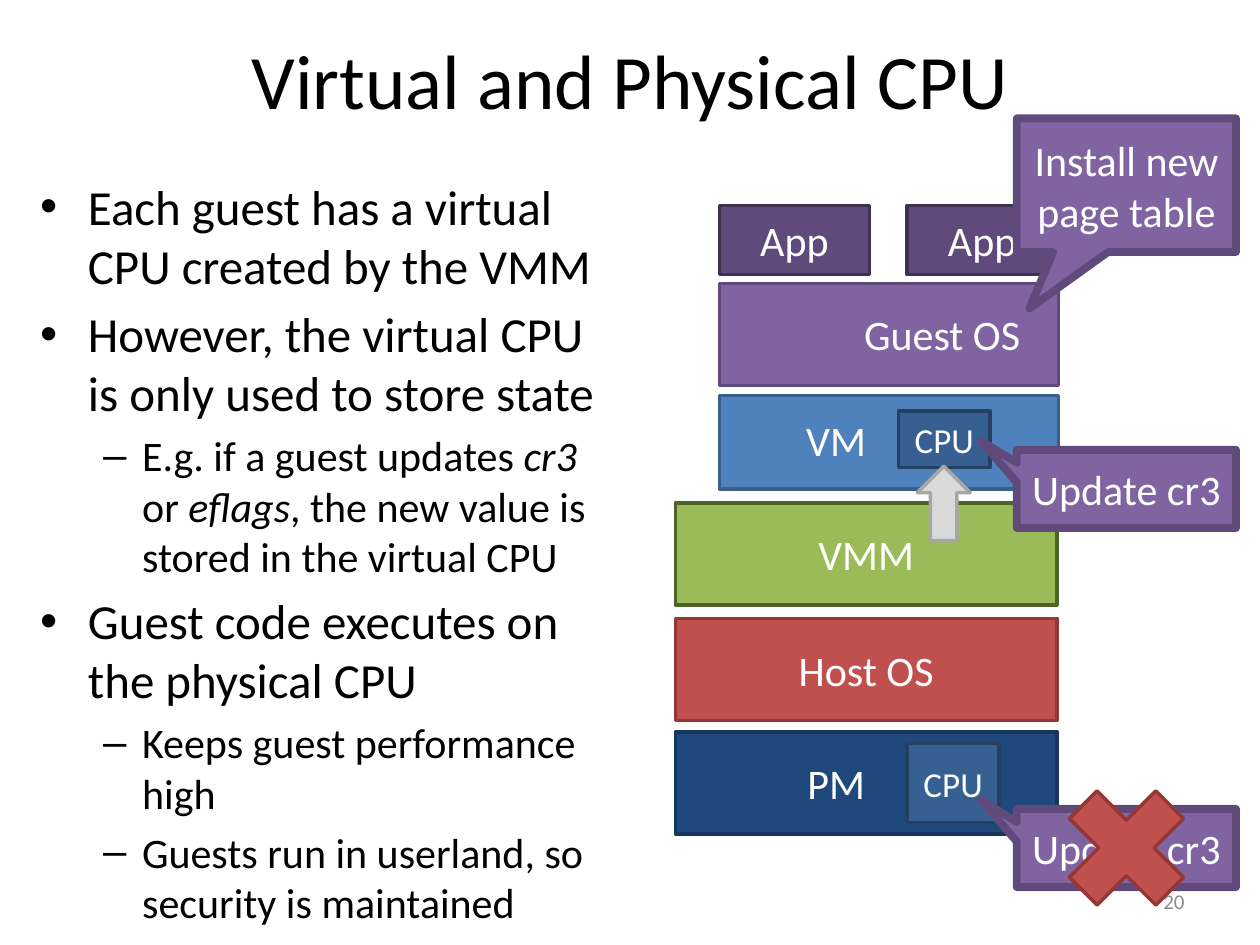
from dataclasses import dataclass

from lxml import etree
from pptx import Presentation
from pptx.dml.color import RGBColor
from pptx.enum.shapes import MSO_SHAPE
from pptx.enum.text import MSO_ANCHOR, PP_ALIGN
from pptx.oxml.ns import qn
from pptx.util import Inches, Pt

RECTANGLE = MSO_SHAPE.RECTANGLE
CALLOUT = MSO_SHAPE.RECTANGULAR_CALLOUT
CROSS = MSO_SHAPE.MATH_MULTIPLY
UP_ARROW = MSO_SHAPE.UP_ARROW
MIDDLE, TOP = MSO_ANCHOR.MIDDLE, MSO_ANCHOR.TOP
LEFT, CENTER, RIGHT = PP_ALIGN.LEFT, PP_ALIGN.CENTER, PP_ALIGN.RIGHT


@dataclass(frozen=True)
class Theme:
    """Font, type sizes and (fill, line) colour pairs of the slide."""
    font: str = "Calibri"
    title: int = 44
    body: int = 28
    label: int = 24
    small: int = 20
    number: int = 12
    black: str = "000000"
    white: str = "FFFFFF"
    grey: str = "8C8C8C"
    navy: tuple = ("1F497D", "17375E")
    green: tuple = ("9BBB59", "4F6228")
    blue: tuple = ("4F81BD", "3A5F8C")
    steel: tuple = ("376092", "254061")
    plum: tuple = ("604A7B", "403152")
    red: tuple = ("C0504D", "953735")
    purple: tuple = ("8064A2", "604A7B")
    silver: tuple = ("D9D9D9", "A6A6A6")
    outline: float = 2
    callout_outline: float = 4.5


class SlideBuilder:
    """Draws styled elements on the current slide."""

    def __init__(self, slide, theme):
        self.slide = slide
        self.theme = theme

    def add_run(self, paragraph, text, size, color, italic=False):
        """Append one formatted run."""
        run = paragraph.add_run()
        run.text = text
        run.font.name = self.theme.font
        run.font.size = Pt(size)
        run.font.italic = italic
        run.font.color.rgb = RGBColor.from_string(color)

    def title(self, text, left, top, width, height):
        """Place and fill the title placeholder."""
        shape = self.slide.shapes.title
        shape.left, shape.top = Inches(left), Inches(top)
        shape.width, shape.height = Inches(width), Inches(height)
        shape.text_frame.vertical_anchor = MIDDLE
        paragraph = shape.text_frame.paragraphs[0]
        paragraph.alignment = CENTER
        self.add_run(paragraph, text, self.theme.title, self.theme.black)

    def text_box(self, left, top, width, height, wrap=True, anchor=TOP):
        """Add an empty text box and return its frame."""
        shape = self.slide.shapes.add_textbox(
            Inches(left), Inches(top), Inches(width), Inches(height))
        shape.text_frame.word_wrap = wrap
        shape.text_frame.vertical_anchor = anchor
        return shape.text_frame

    def label(self, text, left, top, width, height):
        """Add a white unwrapped label."""
        frame = self.text_box(left, top, width, height, wrap=False)
        paragraph = frame.paragraphs[0]
        paragraph.alignment = LEFT
        self.add_run(paragraph, text, self.theme.label, self.theme.white)

    def slide_number(self, text, left, top, width, height):
        """Add the grey slide number."""
        frame = self.text_box(left, top, width, height, anchor=MIDDLE)
        paragraph = frame.paragraphs[0]
        paragraph.alignment = RIGHT
        self.add_run(paragraph, text, self.theme.number, self.theme.grey)

    def bullets(self, items, left, top, width, height):
        """Add a two-level list of (level, runs), each run (text, italic)."""
        theme = self.theme
        levels = ((theme.body, "•", 0.38, -0.38), (theme.label, "–", 0.81, -0.31))
        frame = self.text_box(left, top, width, height)
        for index, (level, runs) in enumerate(items):
            size, mark, margin, indent = levels[level]
            paragraph = frame.add_paragraph() if index else frame.paragraphs[0]
            paragraph.level = level
            paragraph.space_before = Pt(0.2 * size if index else 0)
            properties = paragraph._p.get_or_add_pPr()
            properties.set("marL", str(Inches(margin)))
            properties.set("indent", str(Inches(indent)))
            etree.SubElement(properties, qn("a:buFont"), typeface="Arial")
            etree.SubElement(properties, qn("a:buChar"), char=mark)
            for text, italic in runs:
                self.add_run(paragraph, text, size, theme.black, italic)

    def shape(self, kind, colors, left, top, width, height, text="", size=None, outline=None):
        """Add a filled, outlined shape with optional centred text."""
        theme = self.theme
        shape = self.slide.shapes.add_shape(
            kind, Inches(left), Inches(top), Inches(width), Inches(height))
        fill, line = colors
        shape.shadow.inherit = False
        shape.fill.solid()
        shape.fill.fore_color.rgb = RGBColor.from_string(fill)
        shape.line.color.rgb = RGBColor.from_string(line)
        shape.line.width = Pt(outline or theme.outline)
        if text:
            shape.text_frame.word_wrap = True
            shape.text_frame.vertical_anchor = MIDDLE
            paragraph = shape.text_frame.paragraphs[0]
            paragraph.alignment = CENTER
            self.add_run(paragraph, text, size or theme.label, theme.white)
        return shape

    def callout(self, text, top, height, tip):
        """Add a purple callout in the right column, pointing at tip."""
        shape = self.shape(CALLOUT, self.theme.purple, 8.07, top, 1.74, height, text,
                           outline=self.theme.callout_outline)
        shape.adjustments[0], shape.adjustments[1] = tip


def main():
    """Build and save the slide."""
    presentation = Presentation()
    presentation.slide_width, presentation.slide_height = Inches(10), Inches(7.5)
    theme = Theme()
    slide = presentation.slides.add_slide(presentation.slide_layouts[5])
    builder = SlideBuilder(slide, theme)

    builder.title("Virtual and Physical CPU", 0.5, 0, 9, 1.25)
    builder.bullets([
        (0, [("Each guest has a virtual CPU created by the VMM", False)]),
        (0, [("However, the virtual CPU is only used to store state", False)]),
        (1, [("E.g. if a guest updates ", False), ("cr3 ", True), ("or ", False),
             ("eflags", True), (", the new value is stored in the virtual CPU", False)]),
        (0, [("Guest code executes on the physical CPU", False)]),
        (1, [("Keeps guest performance high", False)]),
        (1, [("Guests run in userland, so security is maintained", False)]),
    ], 0.22, 1.35, 4.77, 5.59)
    builder.slide_number("20", 7.17, 6.95, 2.33, 0.4)

    host_left, host_width = 5.36, 3.03
    guest_left, guest_width = 5.71, 2.69
    layer_height = 0.81
    for text, colors, top in (("", theme.navy, 5.81), ("VMM", theme.green, 3.99),
                              ("Host OS", theme.red, 4.91)):
        builder.shape(RECTANGLE, colors, host_left, top, host_width, layer_height, text)
    builder.shape(RECTANGLE, theme.blue, guest_left, 3.14, guest_width, 0.74)
    for left in (guest_left, 7.2):
        builder.shape(RECTANGLE, theme.plum, left, 1.63, 1.19, 0.55, "App")
    builder.shape(RECTANGLE, theme.purple, guest_left, 2.25, guest_width, layer_height)
    for left, top, height in ((7.13, 3.26, 0.45), (7.2, 5.9, 0.63)):
        builder.shape(RECTANGLE, theme.steel, left, top, 0.73, height, "CPU", theme.small)
    for text, left, top, width in (("Guest OS", 6.76, 2.4, 1.45), ("VM", 6.3, 3.24, 0.68),
                                   ("PM", 6.31, 5.96, 0.66)):
        builder.label(text, left, top, width, 0.5)

    builder.callout("Install new page table", 0.94, 1.06, (-0.442, 0.923))
    for top in (3.57, 6.42):
        builder.callout("Update cr3", top, 0.62, (-0.665, -0.618))
    builder.shape(CROSS, theme.red, 8.28, 6.07, 1.32, 1.32)
    builder.shape(UP_ARROW, theme.silver, 7.28, 3.7, 0.42, 0.59)

    presentation.save("out.pptx")


if __name__ == "__main__":
    main()
